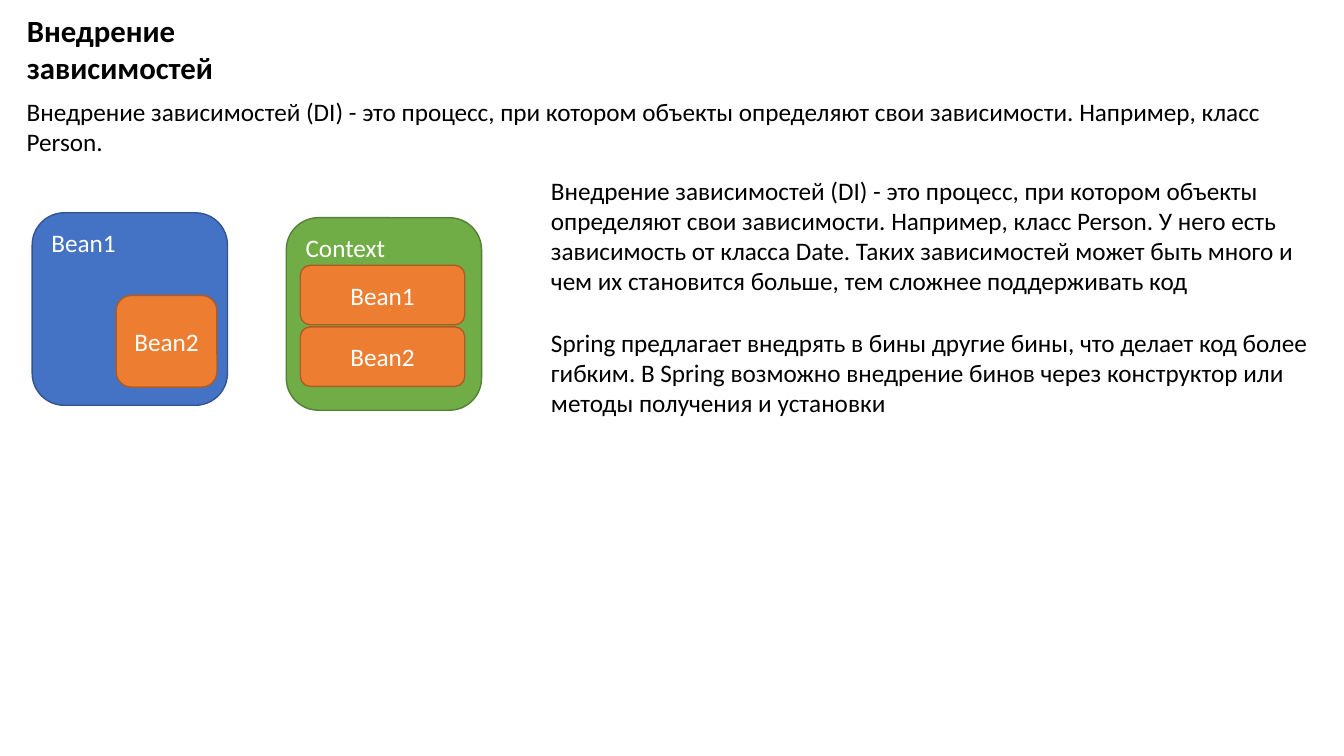
from typing import NamedTuple

from pptx import Presentation
from pptx.dml.color import RGBColor
from pptx.enum import shapes, text
from pptx.util import Pt

BLACK = RGBColor(0x00, 0x00, 0x00)
WHITE = RGBColor(0xFF, 0xFF, 0xFF)
BLUE = RGBColor(0x44, 0x72, 0xC4)
NAVY = RGBColor(0x32, 0x54, 0x91)
ORANGE = RGBColor(0xED, 0x7D, 0x31)
RUST = RGBColor(0xAF, 0x5C, 0x24)
GREEN = RGBColor(0x70, 0xAD, 0x47)
MOSS = RGBColor(0x53, 0x80, 0x35)

TOP, MIDDLE = text.MSO_ANCHOR.TOP, text.MSO_ANCHOR.MIDDLE
LEFT, CENTER = text.PP_ALIGN.LEFT, text.PP_ALIGN.CENTER

INTRO = ("Внедрение зависимостей (DI) - это процесс, при котором объекты "
         "определяют свои зависимости. Например, класс Person.")
DETAIL = (INTRO + " У него есть зависимость от класса Date. Таких зависимостей "
          "может быть много и чем их становится больше, тем сложнее поддерживать код")
SPRING = ("Spring предлагает внедрять в бины другие бины, что делает код более "
          "гибким. В Spring возможно внедрение бинов через конструктор или "
          "методы получения и установки")


class Box(NamedTuple):
    left: float
    top: float
    width: float
    height: float

    def points(self) -> list:
        return [Pt(side) for side in self]


class Bean(NamedTuple):
    name: str
    box: Box
    fill: RGBColor
    line: RGBColor
    outer: bool = False


class Note(NamedTuple):
    box: Box
    paras: list


NOTES = [
    Note(Box(12, 65, 907, 51), [INTRO]),
    Note(Box(386.5, 121.5, 561.5, 181.5), [DETAIL, SPRING]),
]

BEANS = [
    Bean("Bean1", Box(23, 152, 139.5, 137.5), BLUE, NAVY, True),
    Bean("Bean2", Box(83, 211, 72, 65.5), ORANGE, RUST),
    Bean("Context", Box(204.5, 155.5, 139.5, 137.5), GREEN, MOSS, True),
    Bean("Bean2", Box(214.5, 233.5, 117.5, 42.5), ORANGE, RUST),
    Bean("Bean1", Box(214.5, 189.5, 117.5, 42.5), ORANGE, RUST),
]


def write(frame, paras: list, color: RGBColor, size: float = 18,
          bold: bool = False, align=LEFT, anchor=TOP) -> None:
    """Fill a text frame and format all of its runs."""
    frame.text = "\n".join(paras)
    frame.word_wrap = True
    frame.auto_size = text.MSO_AUTO_SIZE.NONE
    frame.vertical_anchor = anchor
    for para in frame.paragraphs:
        para.alignment = align
        for run in para.runs:
            font = run.font
            font.name, font.size, font.bold = "Calibri", Pt(size), bold
            font.color.rgb = color


def add_title(slide, title: str, box: Box) -> None:
    shape = slide.shapes.title
    shape.left, shape.top, shape.width, shape.height = box.points()
    write(shape.text_frame, [title], BLACK, size=22, bold=True)


def add_note(slide, note: Note) -> None:
    frame = slide.shapes.add_textbox(*note.box.points()).text_frame
    write(frame, note.paras, BLACK)
    for para in frame.paragraphs[1:]:
        para.space_before = Pt(22)


def add_bean(slide, bean: Bean) -> None:
    kind = shapes.MSO_SHAPE.ROUNDED_RECTANGLE
    shape = slide.shapes.add_shape(kind, *bean.box.points())
    shape.shadow.inherit = False
    shape.fill.solid()
    shape.fill.fore_color.rgb = bean.fill
    shape.line.color.rgb = bean.line
    shape.line.width = Pt(1)
    align, anchor = (LEFT, TOP) if bean.outer else (CENTER, MIDDLE)
    write(shape.text_frame, [bean.name], WHITE, align=align, anchor=anchor)


def main() -> None:
    deck = Presentation()
    deck.slide_width, deck.slide_height = Pt(960), Pt(540)
    slide = deck.slides.add_slide(deck.slide_layouts.get_by_name("Title Only"))
    add_title(slide, "Внедрение зависимостей", Box(12, 5, 254, 34))
    for note in NOTES:
        add_note(slide, note)
    for bean in BEANS:
        add_bean(slide, bean)
    deck.save("out.pptx")


if __name__ == "__main__":
    main()
